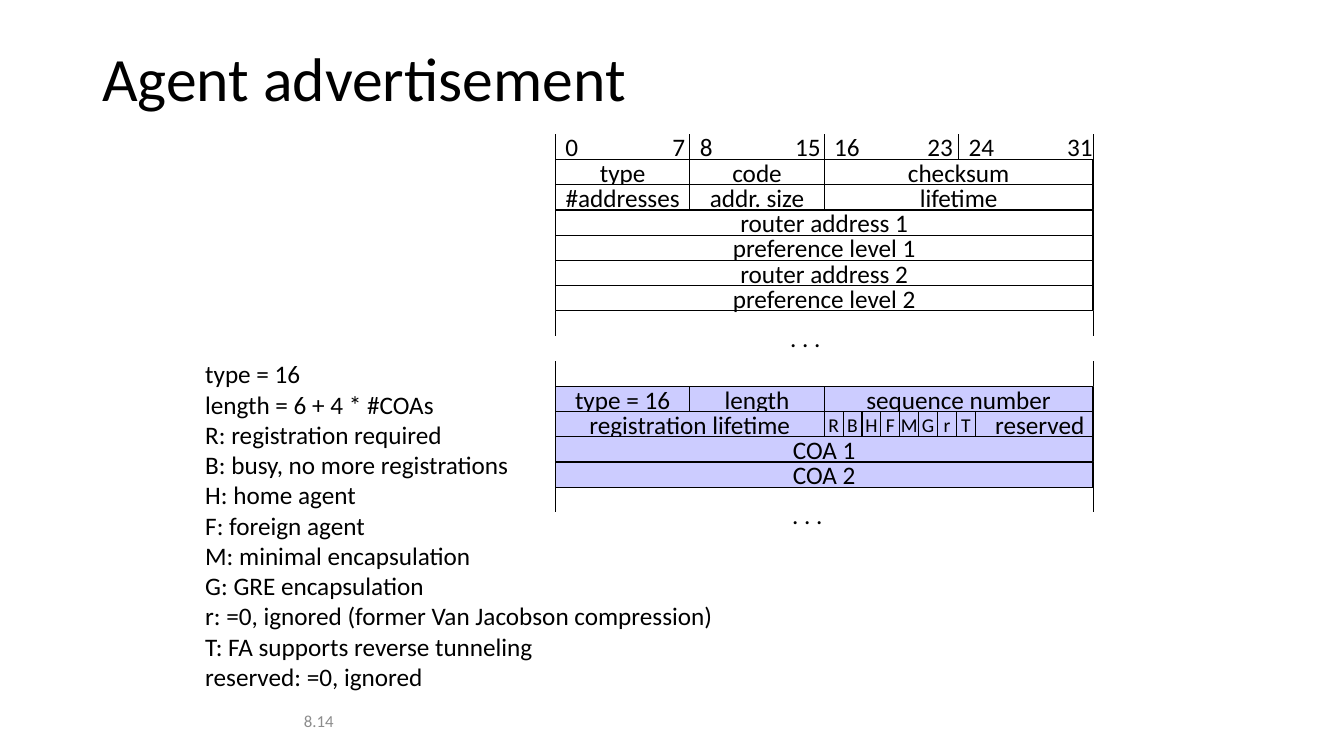
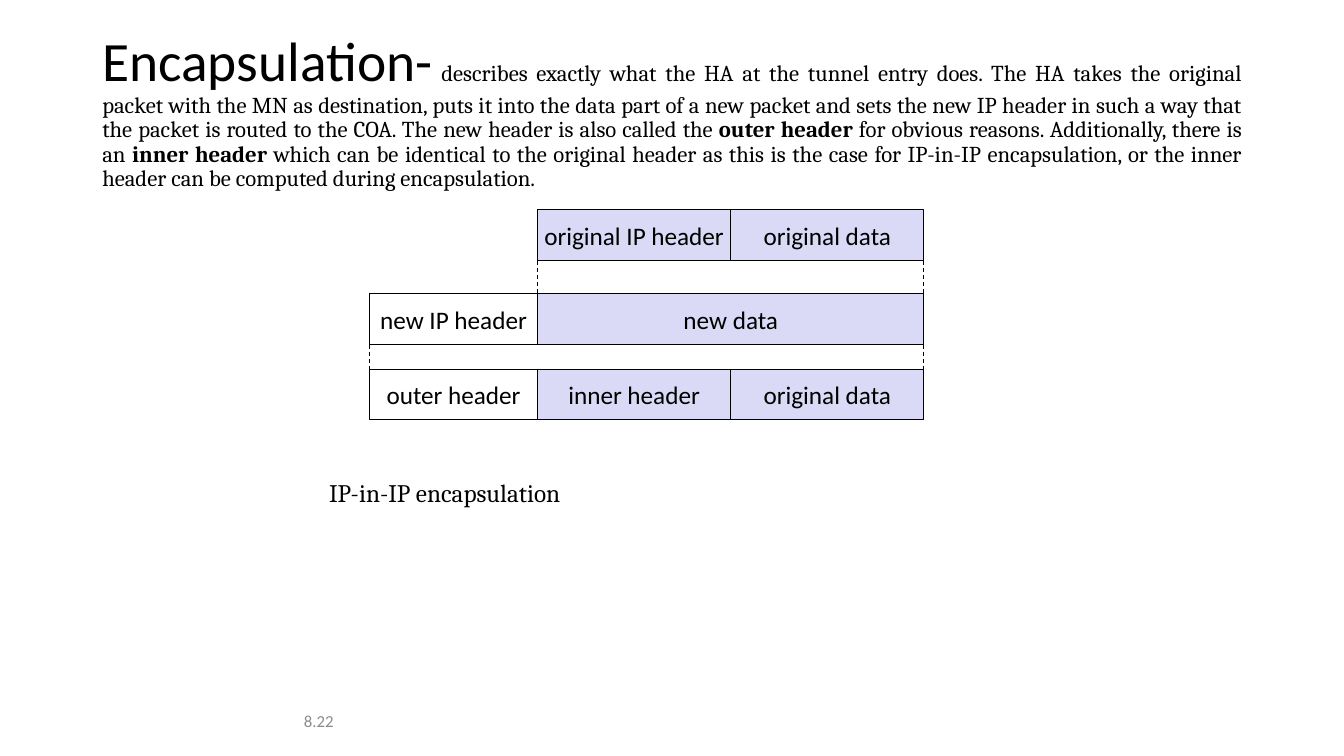
from lxml.etree import SubElement
from pptx import Presentation
from pptx.dml.color import RGBColor
from pptx.enum.dml import MSO_LINE
from pptx.enum.shapes import MSO_CONNECTOR, MSO_SHAPE
from pptx.enum.text import MSO_ANCHOR, PP_ALIGN
from pptx.oxml.ns import qn
from pptx.util import Pt

PX = 9525
COLORS = {
    "ink": "000000",
    "white": "FFFFFF",
    "footer": "8C8C8C",
    "extension": "CCCCFF",
    "packet": "DADAF6",
}
BODY_FONT = "Calibri"
SERIF_FONT = "Cambria"


def write(shape, lines, size=18, font=BODY_FONT, color="ink",
          align=PP_ALIGN.LEFT, anchor=MSO_ANCHOR.TOP, wrap=True):
    frame = shape.text_frame
    frame.word_wrap = wrap
    frame.vertical_anchor = anchor
    for index, line in enumerate(lines):
        para = frame.add_paragraph() if index else frame.paragraphs[0]
        para.text = line
        para.alignment = align
        para.font.size = Pt(size)
        para.font.name = font
        para.font.color.rgb = RGBColor.from_string(COLORS[color])
    return frame


def add_line(page, x, top, bottom, dash=None):
    line = page.shapes.add_connector(
        MSO_CONNECTOR.STRAIGHT, x * PX, top * PX, x * PX, bottom * PX)
    line.line.color.rgb = RGBColor.from_string(COLORS["ink"])
    line.line.width = Pt(0.75)
    if dash:
        line.line.dash_style = dash
    SubElement(line._element.spPr, qn("a:effectLst"))


deck = Presentation()
deck.slide_width = 1280 * PX
deck.slide_height = 720 * PX

pages = []
for number, title, title_height, title_align in [
    ("8.14", "Agent advertisement", 79, PP_ALIGN.LEFT),
    ("8.22", "", 139, PP_ALIGN.JUSTIFY),
]:
    page = deck.slides.add_slide(deck.slide_layouts[6])
    footer = page.shapes.add_textbox(280 * PX, 667 * PX, 96 * PX, 38 * PX)
    write(footer, [number], 12, color="footer", anchor=MSO_ANCHOR.MIDDLE)
    box = page.shapes.add_textbox(88 * PX, 38 * PX, 1104 * PX, title_height * PX)
    frame = write(box, [title], 44, align=title_align, anchor=MSO_ANCHOR.MIDDLE)
    frame.paragraphs[0].line_spacing = 0.9
    pages.append((page, frame.paragraphs[0]))

(advertisement, _), (encapsulation, definition) = pages

BYTE = 128
ROW = 24
GRID_LEFT = 529
GRID_RIGHT = GRID_LEFT + 4 * BYTE
ROUTER_TOP = 152
AGENT_TOP = 368
FLAG = 18

router_rows = [
    [("type", BYTE), ("code", BYTE), ("checksum", 2 * BYTE)],
    [("#addresses", BYTE), ("addr. size", BYTE), ("lifetime", 2 * BYTE)],
    [("router address 1", 4 * BYTE)],
    [("preference level 1", 4 * BYTE)],
    [("router address 2", 4 * BYTE)],
    [("preference level 2", 4 * BYTE)],
]
flags = [(flag, FLAG) for flag in "RBHFMGrT"]
agent_rows = [
    [("type = 16", BYTE), ("length", BYTE), ("sequence number", 2 * BYTE)],
    [("registration lifetime", 2 * BYTE), *flags,
     ("reserved", 2 * BYTE - len(flags) * FLAG)],
    [("COA 1", 4 * BYTE)],
    [("COA 2", 4 * BYTE)],
]

HEADER_LEFT = 352
DATA_LEFT = 512
DATA_RIGHT = 880
HEADER = DATA_LEFT - HEADER_LEFT
HALF = (DATA_RIGHT - DATA_LEFT) // 2
PACKET = 48

bands = [
    (advertisement, GRID_LEFT, ROUTER_TOP + index * ROW, ROW,
     [(*cell, "white") for cell in row])
    for index, row in enumerate(router_rows)
] + [
    (advertisement, GRID_LEFT, AGENT_TOP + index * ROW, ROW,
     [(*cell, "extension") for cell in row])
    for index, row in enumerate(agent_rows)
] + [
    (encapsulation, DATA_LEFT, 200, PACKET,
     [("original IP header", HALF, "packet"), ("original data", HALF, "packet")]),
    (encapsulation, HEADER_LEFT, 280, PACKET,
     [("new IP header", HEADER, "white"), ("new data", 2 * HALF, "packet")]),
    (encapsulation, HEADER_LEFT, 352, PACKET,
     [("outer header", HEADER, "white"), ("inner header", HALF, "packet"),
      ("original data", HALF, "packet")]),
]

for page, left, top, height, cells in bands:
    for label, width, fill in cells:
        cell = page.shapes.add_shape(
            MSO_SHAPE.RECTANGLE, left * PX, top * PX, width * PX, height * PX)
        cell.shadow.inherit = False
        cell.fill.solid()
        cell.fill.fore_color.rgb = RGBColor.from_string(COLORS[fill])
        cell.line.color.rgb = RGBColor.from_string(COLORS["ink"])
        cell.line.width = Pt(0.75)
        frame = write(cell, [label], 14 if width == FLAG else 18,
                      align=PP_ALIGN.CENTER, anchor=MSO_ANCHOR.MIDDLE, wrap=False)
        if label == "reserved":
            frame.margin_left = 20 * PX
        left += width

for tick in range(5):
    add_line(advertisement, GRID_LEFT + tick * BYTE, ROUTER_TOP - ROW, ROUTER_TOP)

for top in (296, 344, 464):
    for x in (GRID_LEFT, GRID_RIGHT):
        add_line(advertisement, x, top, top + ROW)

LABEL = 64
for index, overhang in enumerate((5, 6, 4, 9)):
    start = GRID_LEFT + index * BYTE
    for bit, left, align in [
        (8 * index, start, PP_ALIGN.LEFT),
        (8 * index + 7, start + BYTE + overhang - LABEL, PP_ALIGN.RIGHT),
    ]:
        box = advertisement.shapes.add_textbox(left * PX, 120 * PX, LABEL * PX, 38 * PX)
        write(box, [str(bit)], align=align)

for left, top in [(743, 302), (745, 471)]:
    box = advertisement.shapes.add_textbox(left * PX, top * PX, 80 * PX, 38 * PX)
    write(box, [". . ."])

legend = advertisement.shapes.add_textbox(186 * PX, 337 * PX, 509 * PX, 329 * PX)
write(legend, [
    "type = 16",
    "length = 6 + 4 * #COAs",
    "R: registration required",
    "B: busy, no more registrations",
    "H: home agent",
    "F: foreign agent",
    "M: minimal encapsulation",
    "G: GRE encapsulation",
    "r: =0, ignored (former Van Jacobson compression)",
    "T: FA supports reverse tunneling",
    "reserved: =0, ignored",
])

for text, size, font, bold in [
    ("Encapsulation-", 39.6, BODY_FONT, False),
    (" describes exactly what the HA at the tunnel entry does. The HA takes the "
     "original packet with the MN as destination, puts it into the data part of a "
     "new packet and sets the new IP header in such a way that the packet is routed "
     "to the COA. The new header is also called the ", 16.2, SERIF_FONT, False),
    ("outer header ", 16.2, SERIF_FONT, True),
    ("for obvious reasons. Additionally, there is an ", 16.2, SERIF_FONT, False),
    ("inner header ", 16.2, SERIF_FONT, True),
    ("which can be identical to the original header as this is the case for "
     "IP-in-IP encapsulation, or the inner header can be computed during "
     "encapsulation.", 16.2, SERIF_FONT, False),
]:
    span = definition.add_run()
    span.text = text
    span.font.size = Pt(size)
    span.font.name = font
    span.font.bold = bold

for x, top, bottom in [
    (DATA_LEFT, 248, 280),
    (DATA_RIGHT, 248, 280),
    (HEADER_LEFT, 328, 360),
    (DATA_RIGHT, 328, 360),
]:
    add_line(encapsulation, x, top, bottom, MSO_LINE.DASH)

caption = encapsulation.shapes.add_textbox(304 * PX, 450 * PX, 632 * PX, 38 * PX)
write(caption, ["IP-in-IP encapsulation"], font=SERIF_FONT)

deck.save("out.pptx")
